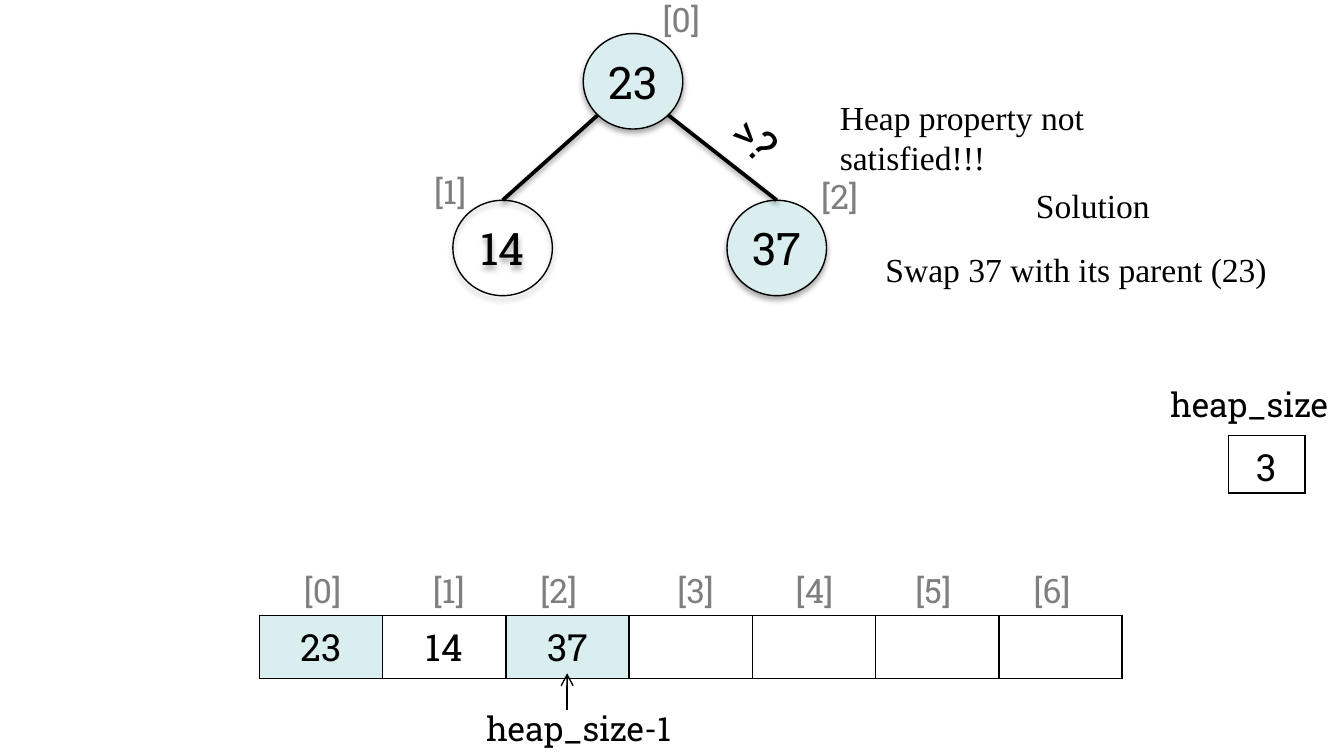
from dataclasses import dataclass
from math import sqrt

from lxml.etree import SubElement
from pptx import Presentation
from pptx.dml.color import RGBColor
from pptx.enum.shapes import MSO_CONNECTOR, MSO_SHAPE
from pptx.enum.text import MSO_ANCHOR, MSO_AUTO_SIZE, PP_ALIGN
from pptx.oxml.ns import qn
from pptx.util import Inches, Pt


@dataclass(frozen=True)
class Theme:
    ink: RGBColor = RGBColor(0, 0, 0)
    index: RGBColor = RGBColor(0x7F, 0x7F, 0x7F)
    highlight: RGBColor = RGBColor(0xDA, 0xED, 0xEF)
    slab: str = "Roboto Slab"
    serif: str = "Times New Roman"
    label_size: int = 18
    cell_size: int = 20
    node_size: int = 24
    thin: float = 0.75
    border: float = 1
    edge: float = 2


THEME = Theme()
NODE_WIDTH, NODE_HEIGHT = 0.74, 0.71
ARRAY_WIDTH, ROW_HEIGHT = 6.42, 0.41


def format_text(paragraph, size, color=THEME.ink, font=THEME.slab):
    paragraph.font.size = Pt(size)
    paragraph.font.color.rgb = color
    paragraph.font.name = font
    for run in paragraph.runs:
        run.font.size = Pt(size)
        run.font.color.rgb = color
        run.font.name = font


def add_label(slide, box, text, color=THEME.ink, font=THEME.slab,
              size=THEME.label_size, wrap=False):
    shape = slide.shapes.add_textbox(*map(Inches, box))
    frame = shape.text_frame
    frame.text = text
    frame.word_wrap = wrap
    frame.auto_size = MSO_AUTO_SIZE.SHAPE_TO_FIT_TEXT
    format_text(frame.paragraphs[0], size, color, font)
    return shape


def set_shadow(shape, opacity=0, distance=0):
    properties = shape._element.spPr
    effects = SubElement(properties, qn("a:effectLst"))
    if opacity:
        shadow = SubElement(effects, qn("a:outerShdw"), blurRad=str(Pt(3.1)),
                            dist=str(Pt(distance)), dir="5400000", rotWithShape="0")
        color = SubElement(shadow, qn("a:srgbClr"), val=str(THEME.ink))
        SubElement(color, qn("a:alpha"), val=str(opacity * 1000))


def add_line(slide, start, end, width):
    line = slide.shapes.add_connector(MSO_CONNECTOR.STRAIGHT, *map(Inches, start + end))
    line.line.color.rgb = THEME.ink
    line.line.width = Pt(width)
    return line


def add_node(slide, left, top, value, fill=None):
    node = slide.shapes.add_shape(
        MSO_SHAPE.OVAL, *map(Inches, (left, top, NODE_WIDTH, NODE_HEIGHT)))
    if fill is None:
        node.fill.background()
    else:
        node.fill.solid()
        node.fill.fore_color.rgb = fill
    node.line.color.rgb = THEME.ink
    node.line.width = Pt(THEME.thin)
    set_shadow(node, 35, 1.8)
    frame = node.text_frame
    frame.text = value
    frame.vertical_anchor = MSO_ANCHOR.MIDDLE
    frame.margin_left = frame.margin_right = Inches(0.04)
    frame.margin_top = frame.margin_bottom = Inches(0.05)
    frame.paragraphs[0].alignment = PP_ALIGN.CENTER
    format_text(frame.paragraphs[0], THEME.node_size)
    return node


def add_edge(slide, root_left, root_top, child, side):
    start = (root_left + NODE_WIDTH / 2 * (1 + side / sqrt(2)),
             root_top + NODE_HEIGHT / 2 * (1 + 1 / sqrt(2)))
    edge = add_line(slide, start, start, THEME.edge)
    edge.end_connect(child, 0)
    set_shadow(edge, 38, 1.6)


def add_tree(slide, left, top):
    root_left, child_top = left + 0.97, top + 1.24
    add_node(slide, root_left, top, "23", THEME.highlight)
    smaller = add_node(slide, left, child_top, "14")
    larger = add_node(slide, left + 2.04, child_top, "37", THEME.highlight)
    add_edge(slide, root_left, top, smaller, -1)
    add_edge(slide, root_left, top, larger, 1)
    for index, (x, y, width) in enumerate(
            [(1.46, -0.31, 0.48), (-0.24, 0.97, 0.44), (2.64, 1.01, 0.48)]):
        add_label(slide, (left + x, top + y, width, 0.4), f"[{index}]", THEME.index)
    comparison = add_label(slide, (left + 1.94, top + 0.59, 0.52, 0.5), "¿<",
                           size=THEME.node_size)
    comparison.text_frame.paragraphs[0].alignment = PP_ALIGN.CENTER
    comparison.rotation = 225


def add_remarks(slide, left, top):
    add_label(slide, (left, top, 3.11, 0.4), "Heap property not satisfied!!!",
              font=THEME.serif, wrap=True)
    add_label(slide, (left + 1.46, top + 0.66, 1.15, 0.4), "Solution",
              font=THEME.serif, wrap=True)
    add_label(slide, (left + 0.34, top + 1.13, 3.07, 0.4),
              "Swap 37 with its parent (23)", font=THEME.serif)


def add_plain_table(slide, left, top, rows, columns, width):
    frame = slide.shapes.add_table(
        rows, columns, *map(Inches, (left, top, width, ROW_HEIGHT * rows)))
    table = frame.table
    table.first_row = table.horz_banding = False
    return table


def style_cell(cell, value="", sides="LRTB", fill=None):
    properties = cell._tc.get_or_add_tcPr()
    for side in sides:
        border = SubElement(properties, qn(f"a:ln{side}"), w=str(Pt(THEME.border)))
        solid = SubElement(border, qn("a:solidFill"))
        SubElement(solid, qn("a:srgbClr"), val=str(THEME.ink))
    if fill is None:
        cell.fill.background()
    else:
        cell.fill.solid()
        cell.fill.fore_color.rgb = fill
    cell.text_frame.text = value
    paragraph = cell.text_frame.paragraphs[0]
    paragraph.alignment = PP_ALIGN.CENTER
    format_text(paragraph, THEME.cell_size if value else THEME.label_size)


def add_heap_size(slide, left, top):
    table = add_plain_table(slide, left + 0.53, top + 0.02, 2, 1, 0.57)
    table.rows[1].height = Inches(0.43)
    style_cell(table.cell(0, 0), sides="B")
    size_cell = table.cell(1, 0)
    style_cell(size_cell, "3")
    size_cell.margin_bottom = Inches(0.01)
    add_label(slide, (left, top, 1.39, 0.4), "heap_size")


def add_array(slide, left, top):
    values = ["23", "14", "37", "", "", "", ""]
    table = add_plain_table(slide, left, top, 1, len(values), ARRAY_WIDTH)
    for column, value in enumerate(values):
        fill = THEME.highlight if value in ("23", "37") else None
        style_cell(table.cell(0, column), value, fill=fill)

    indices = add_label(slide, (left + 0.23, top - 0.39, 7.02, 0.4),
                        "\t".join(f"[{index}]" for index in range(len(values))),
                        THEME.index, wrap=True)
    properties = indices.text_frame.paragraphs[0]._p.get_or_add_pPr()
    stops = SubElement(properties, qn("a:tabLst"))
    properties.insert(0, stops)
    for position in (0.96, 1.76, 2.78, 3.66, 4.55, 5.43):
        SubElement(stops, qn("a:tab"), pos=str(Inches(position)), algn="l")

    pointer_x = left + 2.29
    pointer = add_line(slide, (pointer_x, top + 0.7), (pointer_x, top + 0.43), THEME.thin)
    SubElement(pointer.line._get_or_add_ln(), qn("a:tailEnd"), type="arrow")
    set_shadow(pointer)
    add_label(slide, (left + 1.59, top + 0.64, 1.59, 0.4), "heap_size-1")


def main():
    presentation = Presentation()
    presentation.slide_width = Inches(10)
    presentation.slide_height = presentation.slide_width * 9 // 16
    slide = presentation.slides.add_slide(presentation.slide_layouts[6])
    add_array(slide, 1.93, 4.58)
    add_tree(slide, 3.37, 0.25)
    add_heap_size(slide, 8.61, 2.81)
    add_remarks(slide, 6.15, 0.67)
    presentation.save("out.pptx")


if __name__ == "__main__":
    main()
